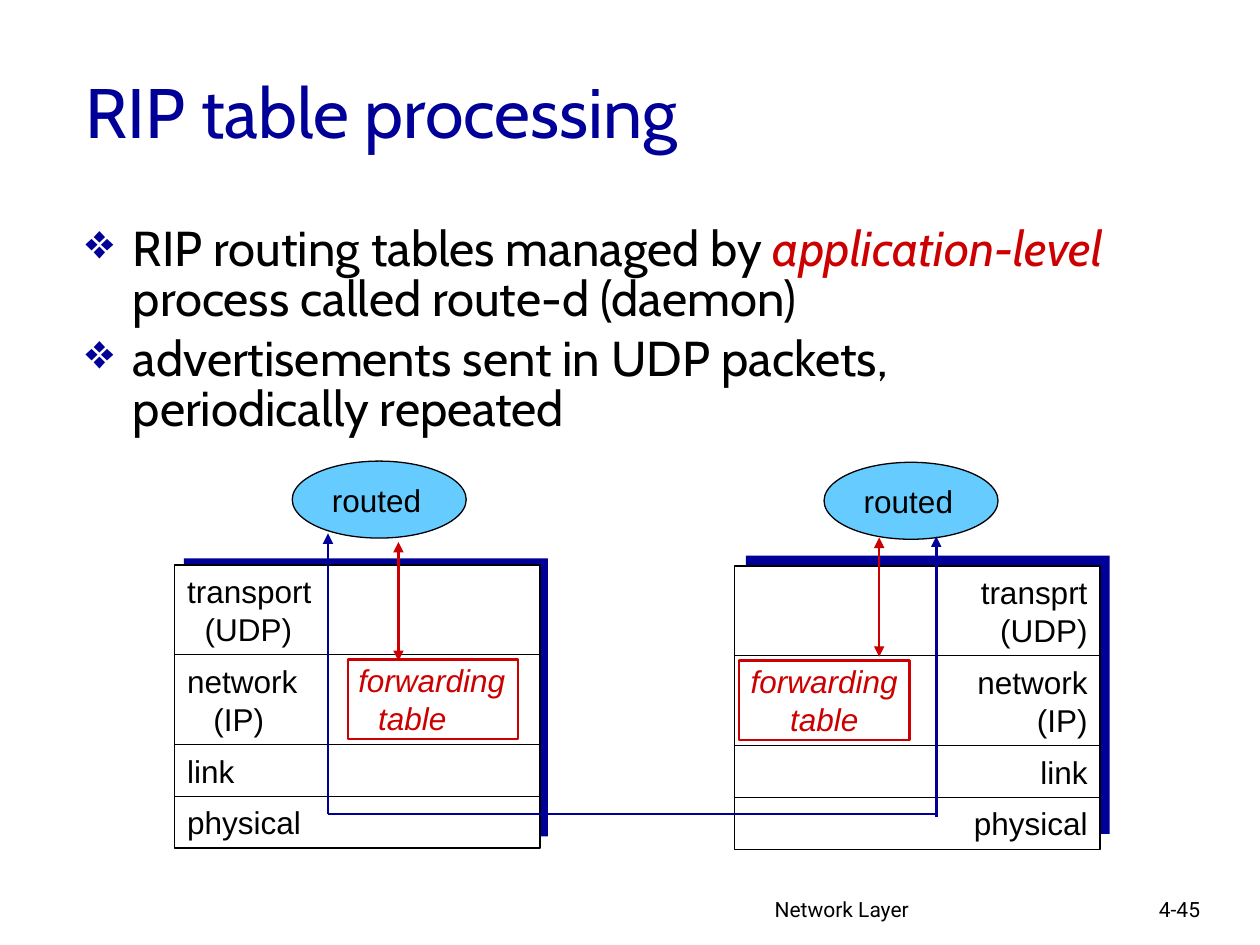
import dataclasses
import pptx
import pptx.dml.color
import pptx.enum.shapes
import pptx.enum.text
import pptx.oxml.ns
import pptx.util

Pt = pptx.util.Pt
Align = pptx.enum.text.PP_ALIGN
Anchor = pptx.enum.text.MSO_ANCHOR
Shape = pptx.enum.shapes.MSO_SHAPE


@dataclasses.dataclass
class Theme:
    navy: str = "000099"
    red: str = "CC0000"
    black: str = "000000"
    white: str = "FFFFFF"
    sky: str = "66CCFF"
    head: str = "Cabin"
    label: str = "Arial"
    foot: str = "Roboto"
    title_size: float = 40
    body_size: float = 28
    label_size: float = 18
    foot_size: float = 12
    thin: float = 0.75
    thick: float = 1.5


def color(code):
    return pptx.dml.color.RGBColor.from_string(code)


def add_tag(parent, tag, **attrs):
    node = parent.makeelement(pptx.oxml.ns.qn(tag), attrs)
    parent.append(node)
    return node


class Painter:
    def __init__(self, slide, theme):
        self.slide = slide
        self.theme = theme

    def style(self, run, font, size, code, slant=False):
        run.font.name = font
        run.font.size = Pt(size)
        run.font.color.rgb = color(code)
        run.font.italic = slant

    def set_text(self, frame, lines, font, size, code, align=Align.LEFT,
                 slant=False, indent=0, anchor=Anchor.MIDDLE):
        frame.word_wrap = True
        frame.vertical_anchor = anchor
        frame.text = "\n".join(lines)
        for index, line in enumerate(frame.paragraphs):
            line.alignment = align
            if index and indent:
                line._p.get_or_add_pPr().set("marL", str(Pt(indent)))
            for run in line.runs:
                self.style(run, font, size, code, slant)

    def text(self, box, words, font, size, code, anchor=Anchor.TOP):
        shape = self.slide.shapes.add_textbox(*map(Pt, box))
        self.set_text(shape.text_frame, [words], font, size, code, anchor=anchor)

    def bullets(self, box, items):
        theme = self.theme
        frame = self.slide.shapes.add_textbox(*map(Pt, box)).text_frame
        frame.word_wrap = True
        for index, parts in enumerate(items):
            line = frame.add_paragraph() if index else frame.paragraphs[0]
            props = line._p.get_or_add_pPr()
            props.set("marL", str(Pt(27)))
            props.set("indent", str(Pt(-27)))
            tint = add_tag(props, "a:buClr")
            add_tag(tint, "a:srgbClr", val=theme.navy)
            add_tag(props, "a:buChar", char="❖")
            line.line_spacing = 0.85
            if index:
                line.space_before = Pt(5.6)
            for words, stress in parts:
                run = line.add_run()
                run.text = words
                self.style(run, theme.head, theme.body_size,
                           theme.red if stress else theme.black, stress)

    def shape(self, kind, box, fill, edge=None, width=0.75):
        shape = self.slide.shapes.add_shape(kind, *map(Pt, box))
        shape.shadow.inherit = False
        shape.fill.solid()
        shape.fill.fore_color.rgb = color(fill)
        if edge:
            shape.line.color.rgb = color(edge)
            shape.line.width = Pt(width)
        else:
            shape.line.fill.background()
        return shape

    def label(self, shape, lines, code=None, sides=(7.2, 7.2), **look):
        theme = self.theme
        frame = shape.text_frame
        frame.margin_left, frame.margin_right = map(Pt, sides)
        frame.margin_top = frame.margin_bottom = 0
        self.set_text(frame, lines, theme.label, theme.label_size,
                      code or theme.black, **look)

    def stack(self, left, top, rows, align):
        theme = self.theme
        for lines, indent in rows:
            height = 51.3 if len(lines) > 1 else 29.6
            row = self.shape(Shape.RECTANGLE, (left, top, 208.8, height),
                             theme.white, theme.black, theme.thin)
            self.label(row, lines, align=align, indent=indent)
            top += height

    def daemon(self, left, top):
        theme = self.theme
        oval = self.shape(Shape.OVAL, (left, top, 99.4, 44),
                          theme.sky, theme.black, theme.thin)
        self.label(oval, ["routed"], sides=(0, 3), align=Align.CENTER)

    def table(self, left, top, **look):
        theme = self.theme
        box = self.shape(Shape.RECTANGLE, (left, top, 97.2, 45.4),
                         theme.white, theme.red, theme.thick)
        self.label(box, ["forwarding", "table"], theme.red, slant=True, **look)

    def line(self, start, end, code, head=False, tail=False):
        kind = pptx.enum.shapes.MSO_CONNECTOR.STRAIGHT
        link = self.slide.shapes.add_connector(kind, *map(Pt, start + end))
        link.line.color.rgb = color(code)
        link.line.width = Pt(self.theme.thick)
        props = link._element.spPr
        edge = props.find(pptx.oxml.ns.qn("a:ln"))
        if head:
            add_tag(edge, "a:headEnd", type="triangle")
        if tail:
            add_tag(edge, "a:tailEnd", type="triangle")
        add_tag(props, "a:effectLst")


def main():
    deck = pptx.Presentation()
    deck.slide_width, deck.slide_height = Pt(720), Pt(540)
    theme = Theme()
    art = Painter(deck.slides.add_slide(deck.slide_layouts[6]), theme)

    for left, width, words in ((435.6, 216, "Network Layer"),
                               (655.2, 53.3, "4-45")):
        art.text((left, 509, width, 22), words,
                 theme.foot, theme.foot_size, theme.black)
    for left, top in ((426.2, 317.5), (105.1, 319)):
        art.shape(Shape.RECTANGLE, (left, top, 208, 159), theme.navy)
    art.text((41.8, 18, 612, 90), "RIP table processing",
             theme.head, theme.title_size, theme.navy, Anchor.MIDDLE)
    art.bullets((41.8, 126, 612, 130), [
        [("RIP routing tables managed by ", False),
         ("application-level", True),
         (" process called route-d (daemon)", False)],
        [("advertisements sent in UDP packets, periodically repeated", False)],
    ])

    hosts = (
        (99.9, 322.9, "transport", Align.LEFT, (10, 15)),
        (419.8, 323.5, "transprt", Align.RIGHT, (0, 0)),
    )
    for left, top, name, align, indents in hosts:
        rows = (([name, "(UDP)"], indents[0]),
                (["network", "(IP)"], indents[1]),
                (["link"], 0), (["physical"], 0))
        art.stack(left, top, rows, align)

    art.daemon(167, 263.5)
    art.daemon(470.9, 264.2)
    art.table(198.9, 376.9, sides=(5.8, 0), indent=11.4)
    art.table(422.4, 377.5, sides=(0, 0), align=Align.CENTER)

    art.line((187.4, 465.2), (187.4, 304.8), theme.navy, tail=True)
    art.line((535, 467), (535, 306.5), theme.navy, tail=True)
    art.line((187.4, 465.2), (535, 465.2), theme.navy)
    for across, top, base in ((227.7, 309.7, 377.8), (502.4, 307.2, 375.3)):
        art.line((across, top), (across, base), theme.red, True, True)

    deck.save("out.pptx")


if __name__ == "__main__":
    main()
